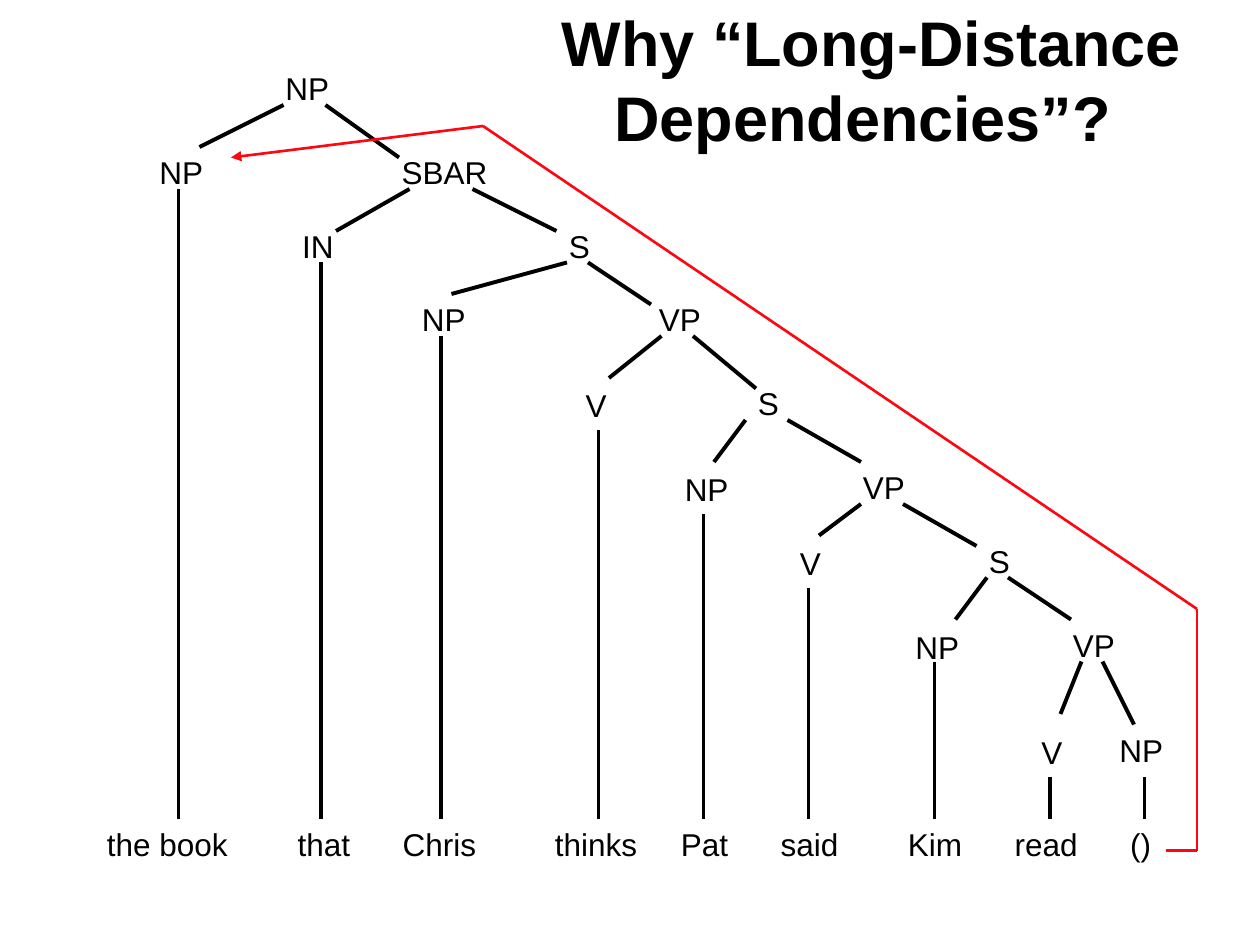
from itertools import pairwise

from lxml.etree import SubElement
from pptx import Presentation
from pptx.dml.color import RGBColor
from pptx.enum.shapes import MSO_CONNECTOR
from pptx.enum.text import MSO_ANCHOR, MSO_AUTO_SIZE, PP_ALIGN
from pptx.oxml.ns import qn
from pptx.util import Pt

THEME = {
    "font": "Arial",
    "ink": RGBColor(0x00, 0x00, 0x00),
    "trace": RGBColor(0xFF, 0x07, 0x10),
    "title_size": 36,
    "label_size": 18,
    "branch_width": 2.25,
    "trace_width": 1.5,
}

TITLE = "Why “Long-Distance\vDependencies”? "
LABEL_WIDTHS = {"NP": 40, "VP": 39, "SBAR": 64, "IN": 33, "S": 27, "V": 27}
LABEL_HEIGHT = 29

# label, left, top
NODES = [
    ("NP", 156, 36), ("NP", 84, 84), ("SBAR", 222.5, 84),
    ("IN", 165.6, 126), ("S", 318, 126),
    ("NP", 234, 168), ("VP", 369.5, 168),
    ("V", 327.6, 217.2), ("S", 426, 216),
    ("NP", 384.2, 265), ("VP", 486, 264),
    ("V", 450, 307.5), ("S", 558, 306),
    ("NP", 516, 355.2), ("VP", 606, 354),
    ("V", 588, 415.5), ("NP", 632.6, 414),
]

BRANCHES = [
    ((162, 60), (114, 84)), ((186, 60), (228, 90)),
    ((234, 108), (192, 132)), ((270, 108), (318, 132)),
    ((324, 150), (258, 168)), ((336, 150), (372, 174)),
    ((378, 192), (348, 216)), ((396, 192), (432, 222)),
    ((426, 240), (408, 264)), ((450, 240), (492, 264)),
    ((492, 288), (468, 306)), ((516, 288), (558, 312)),
    ((564, 330), (546, 354)), ((576, 330), (612, 354)),
    ((618, 378), (606, 408)), ((630, 378), (648, 414)),
]

WORDS_LEFT, WORDS_TOP, WORDS_WIDTH = 54, 468, 611.5
LEAVES = [
    {"word": "the book", "tab": 0, "stem": (102, 108)},
    {"word": "that", "tab": 109, "stem": (183.5, 150)},
    {"word": "Chris", "tab": 169, "stem": (252, 192)},
    {"word": "thinks", "tab": 256, "stem": (342, 246)},
    {"word": "Pat", "tab": 328, "stem": (402, 294)},
    {"word": "said", "tab": 385, "stem": (462, 336)},
    {"word": "Kim", "tab": 457.8, "stem": (534, 378)},
    {"word": "read", "tab": 518.8, "stem": (600, 444)},
    {"word": "()", "tab": 584.8, "stem": (654, 444)},
]

TRACE = [(666, 486), (684, 486), (684, 348), (276, 72), (132, 90)]


def add_text(page, text, left, top, width, height, size, bold=False):
    box = page.shapes.add_textbox(Pt(left), Pt(top), Pt(width), Pt(height))
    frame = box.text_frame
    frame.text = text
    frame.word_wrap = False
    frame.auto_size = MSO_AUTO_SIZE.SHAPE_TO_FIT_TEXT
    for span in frame.paragraphs[0].runs:
        span.font.name = THEME["font"]
        span.font.size = Pt(size)
        span.font.bold = bold
        span.font.color.rgb = THEME["ink"]
    return frame


def add_title(page):
    frame = add_text(page, TITLE, 276, 0, 444, 90, THEME["title_size"], True)
    frame.auto_size = MSO_AUTO_SIZE.NONE
    frame.word_wrap = True
    frame.vertical_anchor = MSO_ANCHOR.MIDDLE
    frame.paragraphs[0].alignment = PP_ALIGN.CENTER


def add_words(page):
    sentence = "\t".join(leaf["word"] for leaf in LEAVES)
    frame = add_text(page, sentence, WORDS_LEFT, WORDS_TOP, WORDS_WIDTH,
                     LABEL_HEIGHT, THEME["label_size"])
    frame.word_wrap = True
    properties = frame.paragraphs[0]._p.get_or_add_pPr()
    stops = SubElement(properties, qn("a:tabLst"))
    for leaf in LEAVES[1:]:
        SubElement(stops, qn("a:tab"), pos=str(Pt(leaf["tab"])), algn="l")


def add_line(page, start, end, color, width):
    line = page.shapes.add_connector(
        MSO_CONNECTOR.STRAIGHT, *(Pt(value) for value in (*start, *end)))
    line.line.color.rgb = color
    line.line.width = Pt(width)
    SubElement(line._element.spPr, qn("a:effectLst"))
    return line


def main():
    """Build the slide with the parse tree and its long-distance link."""
    deck = Presentation()
    deck.slide_width, deck.slide_height = Pt(720), Pt(540)
    page = deck.slides.add_slide(deck.slide_layouts[6])

    add_title(page)
    add_words(page)
    for label, left, top in NODES:
        add_text(page, label, left, top, LABEL_WIDTHS[label], LABEL_HEIGHT,
                 THEME["label_size"])

    stems = [(leaf["stem"], (leaf["stem"][0], WORDS_TOP)) for leaf in LEAVES]
    for start, end in stems + BRANCHES:
        add_line(page, start, end, THEME["ink"], THEME["branch_width"])
    for start, end in pairwise(TRACE):
        link = add_line(page, start, end, THEME["trace"], THEME["trace_width"])
    SubElement(link.line._get_or_add_ln(), qn("a:tailEnd"), type="triangle")

    deck.save("out.pptx")


if __name__ == "__main__":
    main()
